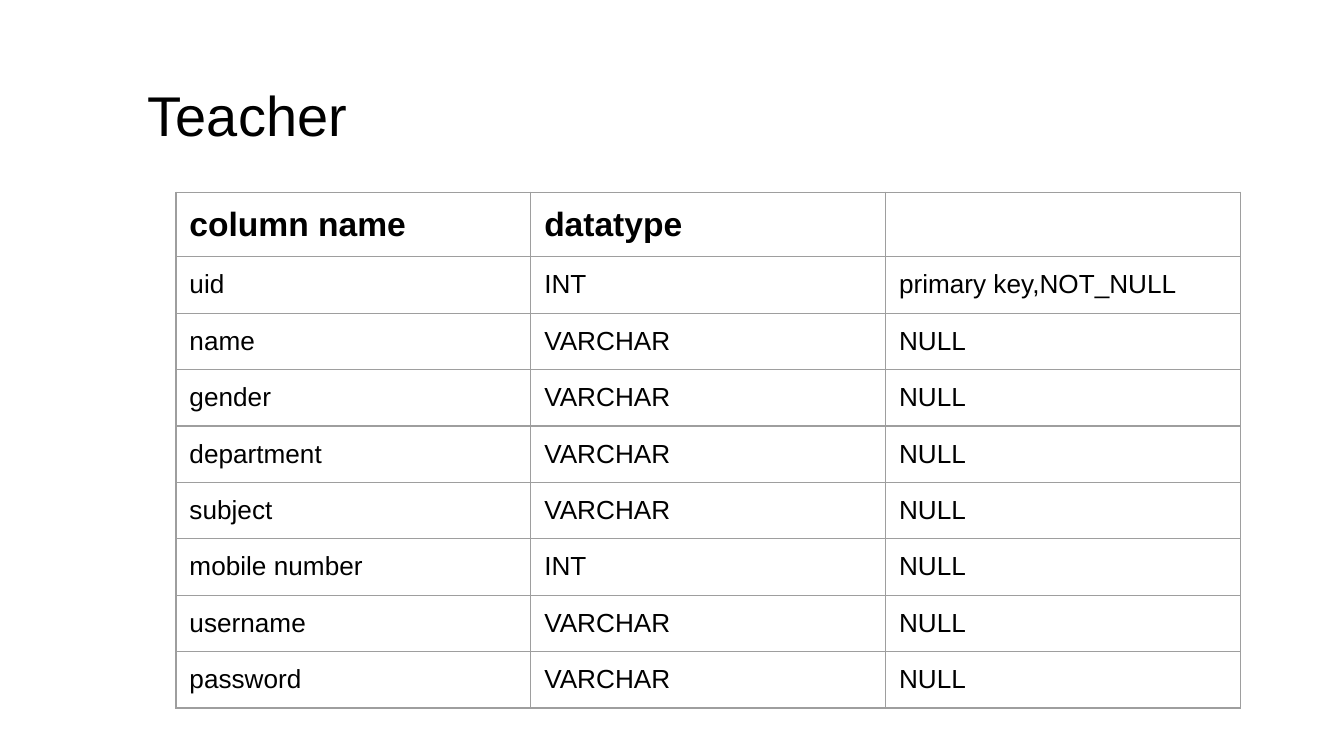
from pptx import Presentation
from pptx.dml.color import RGBColor
from pptx.enum.text import MSO_ANCHOR, PP_ALIGN
from pptx.oxml import parse_xml
from pptx.oxml.ns import nsdecls
from pptx.util import Inches, Pt

FIELDS = [
    ("column name", "datatype", ""),
    ("uid", "INT", "primary key,NOT_NULL"),
    ("name", "VARCHAR", "NULL"),
    ("gender", "VARCHAR", "NULL"),
    ("department", "VARCHAR", "NULL"),
    ("subject", "VARCHAR", "NULL"),
    ("mobile number", "INT", "NULL"),
    ("username", "VARCHAR", "NULL"),
    ("password", "VARCHAR", "NULL"),
]


def style(para, size, bold=False, color="000000"):
    """Set the font and alignment of a paragraph."""
    para.alignment = PP_ALIGN.LEFT
    font = para.font
    font.name, font.size, font.bold = "Arial", Pt(size), bold
    font.color.rgb = RGBColor.from_string(color)


def pad(box):
    """Set the margins of a cell or text frame."""
    box.margin_left = box.margin_right = Inches(0.1)
    box.margin_top = box.margin_bottom = Inches(0.1)


def frame(cell, color="9E9E9E", width=0.75):
    """Draw a thin line on every side of a cell."""
    props = cell._tc.get_or_add_tcPr()
    for i, side in enumerate(("lnL", "lnR", "lnT", "lnB")):
        props.insert(i, parse_xml(
            f'<a:{side} {nsdecls("a")} w="{Pt(width)}"><a:solidFill>'
            f'<a:srgbClr val="{color}"/></a:solidFill></a:{side}>'))


def add_title(slide, text, left, top, width, height):
    """Place the slide title in the given box."""
    title = slide.shapes.title
    title.left, title.top = Inches(left), Inches(top)
    title.width, title.height = Inches(width), Inches(height)
    text_frame = title.text_frame
    text_frame.text = text
    text_frame.vertical_anchor = MSO_ANCHOR.TOP
    pad(text_frame)
    style(text_frame.paragraphs[0], 30)


def add_fields(slide, rows, left, top, width, height):
    """Place the table of fields in the given box."""
    table = slide.shapes.add_table(
        len(rows), len(rows[0]), Inches(left), Inches(top),
        Inches(width), Inches(height)).table
    table.horz_banding = False
    for r, row in enumerate(rows):
        for c, text in enumerate(row):
            cell = table.cell(r, c)
            cell.text = text
            cell.fill.background()
            pad(cell)
            frame(cell)
            head = r == 0
            style(cell.text_frame.paragraphs[0], 18 if head else 14, head)


def main():
    """Build the slide and save it."""
    deck = Presentation()
    deck.slide_width, deck.slide_height = Inches(10), Inches(10 * 9 / 16)
    slide = deck.slides.add_slide(deck.slide_layouts[5])
    add_fields(slide, FIELDS, 1.31, 1.43, 3 * 2.64, len(FIELDS) * 0.42)
    add_title(slide, "Teacher", 1, 0.5, 8, 0.93)
    deck.save("out.pptx")


if __name__ == "__main__":
    main()
